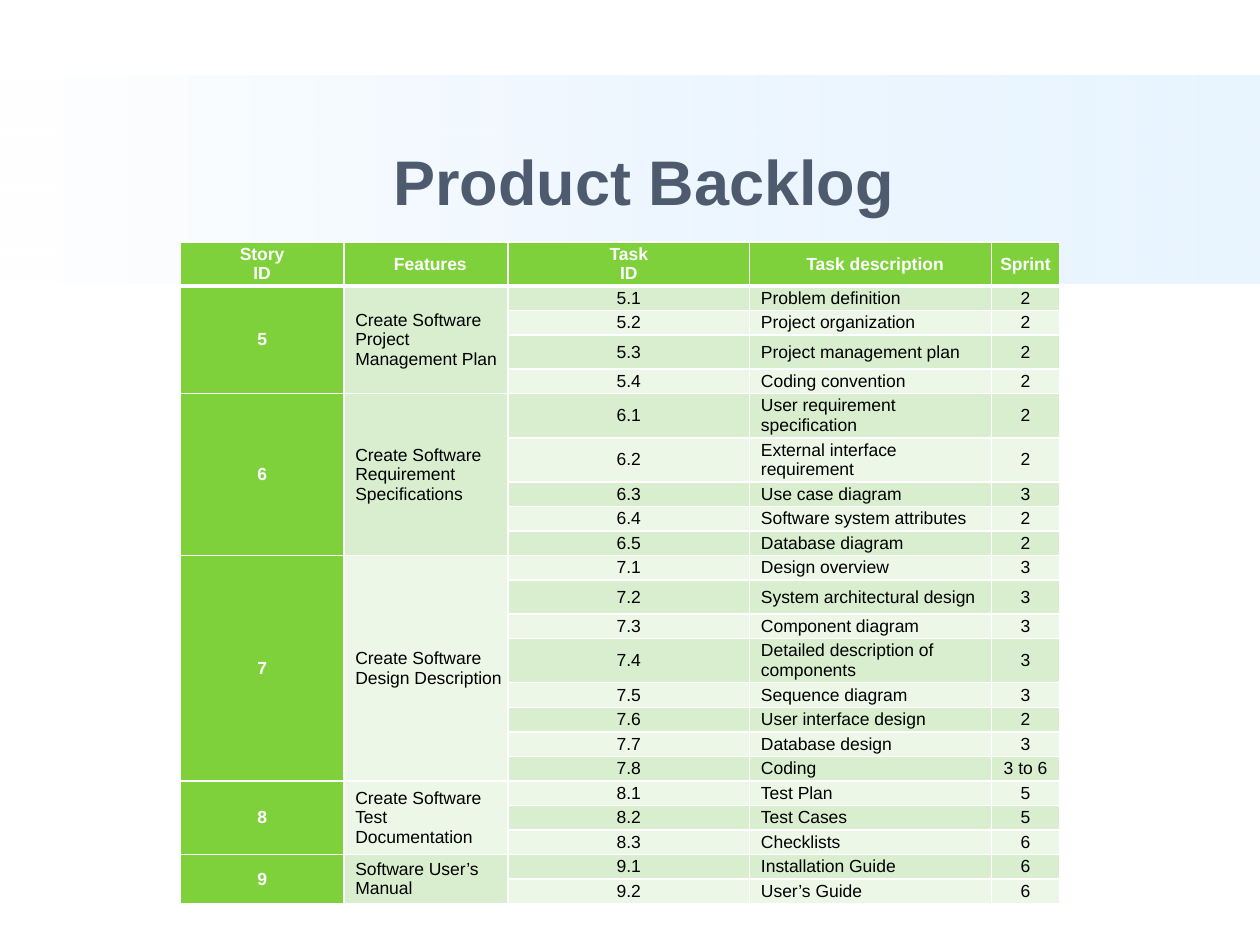
from lxml.etree import SubElement
from pptx import Presentation
from pptx.dml.color import RGBColor
from pptx.enum.shapes import MSO_SHAPE as Preset
from pptx.enum.text import MSO_ANCHOR as Anchor, PP_ALIGN as Align
from pptx.oxml import parse_xml
from pptx.oxml.ns import nsdecls, qn
from pptx.util import Inches, Pt

COLORS = {
    "white": "FFFFFF",
    "black": "000000",
    "title": "4E5B6F",
    "sky": "D6ECFF",
    "green": "7FD13B",
    "odd_row": "D8EECE",
    "even_row": "ECF7E8",
}
FONT = "Arial"
HEADERS = ["Story\nID", "Features", "Task\nID", "Task description", "Sprint"]
INDENTED_COLUMNS = (1, 3)
COLUMN_WIDTHS = [1.3, 1.3, 1.92, 1.92, 0.54]
HEADER_HEIGHT, ROW_HEIGHT, TALL_HEIGHT = 0.23, 0.19, 0.27
TALL_ROWS = {3, 5, 6, 11, 13}
STORIES = [
    ("5", "Create Software Project Management Plan", [
        ("Problem definition", "2"),
        ("Project organization", "2"),
        ("Project management plan", "2"),
        ("Coding convention", "2"),
    ]),
    ("6", "Create Software Requirement Specifications", [
        ("User requirement specification", "2"),
        ("External interface requirement", "2"),
        ("Use case diagram", "3"),
        ("Software system attributes", "2"),
        ("Database diagram", "2"),
    ]),
    ("7", "Create Software Design Description", [
        ("Design overview", "3"),
        ("System architectural design", "3"),
        ("Component diagram", "3"),
        ("Detailed description of components", "3"),
        ("Sequence diagram", "3"),
        ("User interface design", "2"),
        ("Database design", "3"),
        ("Coding", "3 to 6"),
    ]),
    ("8", "Create Software Test Documentation", [
        ("Test Plan", "5"),
        ("Test Cases", "5"),
        ("Checklists", "6"),
    ]),
    ("9", "Software User’s Manual", [
        ("Installation Guide", "6"),
        ("User’s Guide", "6"),
    ]),
]


def rgb(name):
    """Return the named palette colour."""
    return RGBColor.from_string(COLORS[name])


def write_text(frame, text, size=10, color="black", bold=False, align=Align.CENTER, indent=0):
    """Fill a text frame, one paragraph for each line of text."""
    frame.text = text
    for paragraph in frame.paragraphs:
        paragraph.alignment = align
        if indent:
            properties = paragraph._p.get_or_add_pPr()
            properties.set("marL", str(Inches(indent)))
            properties.set("indent", "0")
        for run in paragraph.runs:
            font = run.font
            font.name, font.size, font.bold = FONT, Pt(size), bold
            font.color.rgb = rgb(color)


def set_borders(cell, top=1, bottom=1):
    """Draw white borders of the given point widths around a cell."""
    widths = {"lnL": 1, "lnR": 1, "lnT": top, "lnB": bottom}
    properties = cell._tc.get_or_add_tcPr()
    for position, (tag, width) in enumerate(widths.items()):
        properties.insert(position, parse_xml(
            f'<a:{tag} {nsdecls("a")} w="{Pt(width)}"><a:solidFill>'
            f'<a:srgbClr val="{COLORS["white"]}"/></a:solidFill></a:{tag}>'))


def style_cell(cell, fill, **borders):
    """Give a cell its fill, margins, anchor and borders."""
    cell.fill.solid()
    cell.fill.fore_color.rgb = rgb(fill)
    cell.margin_left = cell.margin_right = Inches(0.02)
    cell.margin_top = cell.margin_bottom = Inches(0.02)
    cell.vertical_anchor = Anchor.MIDDLE
    set_borders(cell, **borders)


def add_band(slide, left, top, width, height):
    """Add the fading sky band behind the title."""
    band = slide.shapes.add_shape(
        Preset.RECTANGLE, Inches(left), Inches(top), Inches(width), Inches(height))
    band.shadow.inherit = False
    band.line.fill.background()
    band.fill.gradient()
    band.fill.gradient_angle = 0
    for stop, position, color in zip(band.fill.gradient_stops, (0, 1), ("white", "sky")):
        stop.position = position
        stop.color.rgb = rgb(color)
    sky = band._element.spPr.findall(".//" + qn("a:srgbClr"))[-1]
    SubElement(sky, qn("a:alpha")).set("val", "53000")
    slide.shapes._spTree.insert(2, band._element)


def place_title(slide, left, top, width, height):
    """Place the title placeholder and write the heading."""
    title = slide.shapes.title
    title.left, title.top = Inches(left), Inches(top)
    title.width, title.height = Inches(width), Inches(height)
    title.text_frame.vertical_anchor = Anchor.MIDDLE
    write_text(title.text_frame, "Product Backlog", size=36, color="title", bold=True)


def add_backlog(slide, left, top, width, height):
    """Add the backlog table, with stories merged over their tasks."""
    row_count = 1 + sum(len(tasks) for _, _, tasks in STORIES)
    table = slide.shapes.add_table(
        row_count, len(HEADERS), Inches(left), Inches(top), Inches(width), Inches(height)).table
    for column, share in zip(table.columns, COLUMN_WIDTHS):
        column.width = Inches(width * share / sum(COLUMN_WIDTHS))
    for index, row in enumerate(table.rows):
        row.height = Inches(TALL_HEIGHT if index in TALL_ROWS else ROW_HEIGHT)
    table.rows[0].height = Inches(HEADER_HEIGHT)

    for column, header in enumerate(HEADERS):
        cell = table.cell(0, column)
        style_cell(cell, "green", bottom=3)
        write_text(cell.text_frame, header, color="white", bold=True,
                   indent=0.07 if column in INDENTED_COLUMNS else 0)

    first = 1
    for story, feature, tasks in STORIES:
        for number, (description, sprint) in enumerate(tasks, 1):
            row = first + number - 1
            shade = "odd_row" if row % 2 else "even_row"
            fills = ["green"] + [shade] * 4
            for column, fill in enumerate(fills):
                style_cell(table.cell(row, column), fill, top=3 if row == 1 else 1)
            write_text(table.cell(row, 2).text_frame, f"{story}.{number}")
            write_text(table.cell(row, 3).text_frame, description, align=Align.LEFT, indent=0.07)
            write_text(table.cell(row, 4).text_frame, sprint)
        last = first + len(tasks) - 1
        for column in (0, 1):
            table.cell(first, column).merge(table.cell(last, column))
        write_text(table.cell(first, 0).text_frame, story, color="white", bold=True)
        write_text(table.cell(first, 1).text_frame, feature, align=Align.LEFT, indent=0.07)
        first = last + 1


def main():
    """Build and save the product backlog slide."""
    presentation = Presentation()
    presentation.slide_width, presentation.slide_height = Inches(10), Inches(7.5)
    slide = presentation.slides.add_slide(presentation.slide_layouts[0])
    subtitle = slide.placeholders[1]._element
    subtitle.getparent().remove(subtitle)
    add_band(slide, 0, 0.6, 10, 1.65)
    place_title(slide, 0.86, 0.83, 8.5, 1.21)
    add_backlog(slide, 1.43, 1.92, 6.98, 5.45)
    presentation.save("out.pptx")


if __name__ == "__main__":
    main()
